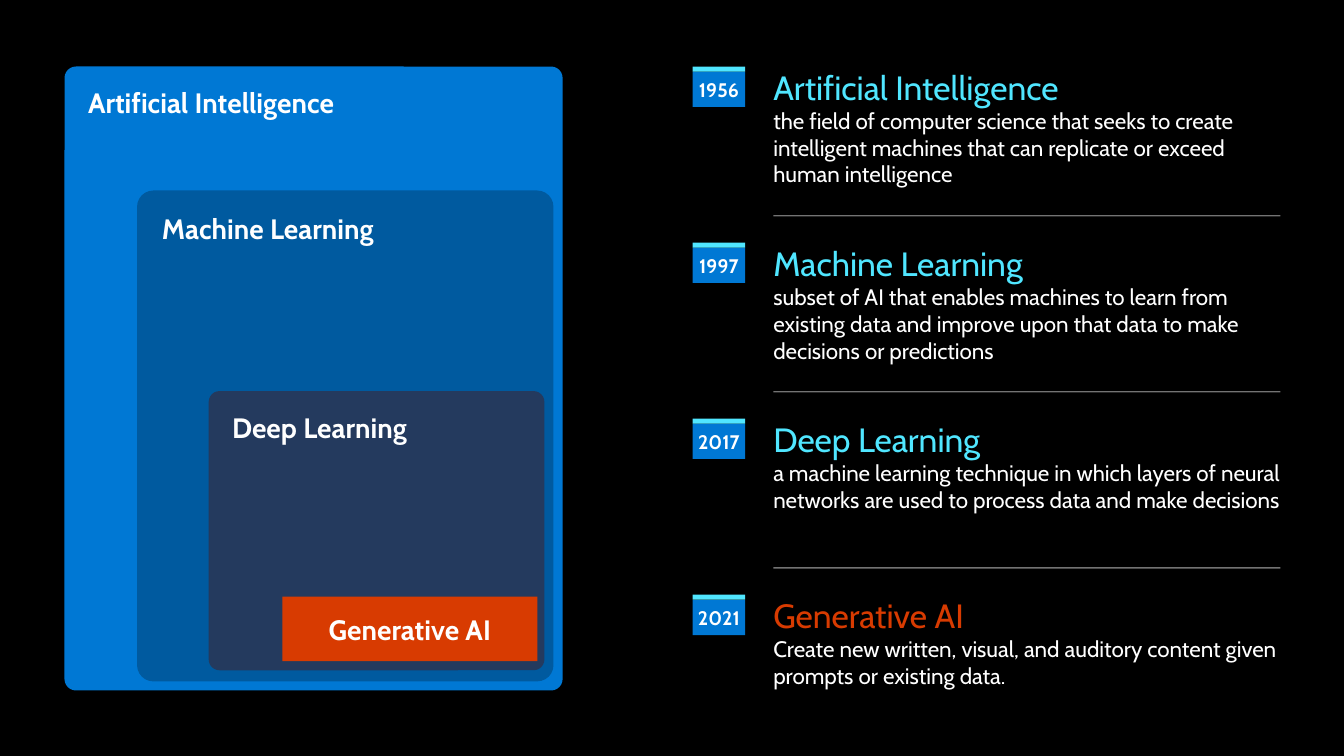
from lxml import etree
from pptx import Presentation
from pptx import util as u
from pptx.dml.color import RGBColor
from pptx.enum import shapes, text
from pptx.oxml import ns

BLACK = RGBColor(0x00, 0x00, 0x00)
WHITE = RGBColor(0xFF, 0xFF, 0xFF)
GRAY = RGBColor(0xE6, 0xE6, 0xE6)
BLUE = RGBColor(0x00, 0x78, 0xD4)
DEEP_BLUE = RGBColor(0x00, 0x5A, 0x9F)
NAVY = RGBColor(0x24, 0x3A, 0x5E)
CYAN = RGBColor(0x50, 0xE6, 0xFF)
ORANGE = RGBColor(0xD8, 0x3B, 0x01)

FONT = "Cabin"
TOP = 0.66
ROW_STEP = (5.90 - TOP) / 3
DIVIDER_OFFSET = 1.48
BADGE_LEFT, BADGE_WIDTH, BADGE_HEIGHT, STRIPE_HEIGHT = 6.87, 0.52, 0.4, 0.05
TEXT_LEFT, TEXT_WIDTH, TEXT_HEIGHT = 7.67, 5.03, 1.21

PANELS = [
    ("Artificial Intelligence", (0.64, TOP, 4.94, 6.19), 0.023, BLUE),
    ("Machine Learning", (1.36, 1.89, 4.13, 4.87), 0.039, DEEP_BLUE),
    ("Deep Learning", (2.07, 3.88, 3.33, 2.77), 0.039, NAVY),
]
TITLE = "Generative AI"
TITLE_BOX = (2.8, 5.92, 2.53, 0.64)
MILESTONES = [
    ("1956", "Artificial Intelligence", CYAN,
     "the field of computer science that seeks to create intelligent machines "
     "that can replicate or exceed human intelligence"),
    ("1997", "Machine Learning", CYAN,
     "subset of AI that enables machines to learn from existing data and "
     "improve upon that data to make decisions or predictions"),
    ("2017", "Deep Learning", CYAN,
     "a machine learning technique in which layers of neural networks are used "
     "to process data and make decisions"),
    ("2021", TITLE, ORANGE,
     "Create new written, visual, and auditory content given prompts or "
     "existing data."),
]


def inches(box):
    return [u.Inches(length) for length in box]


def set_frame(shape, anchor, horizontal=0, vertical=0):
    frame = shape.text_frame
    frame.word_wrap = True
    frame.auto_size = text.MSO_AUTO_SIZE.NONE
    frame.vertical_anchor = anchor
    frame.margin_left = frame.margin_right = u.Inches(horizontal)
    frame.margin_top = frame.margin_bottom = u.Inches(vertical)
    return frame


def write(paragraph, words, size, color=WHITE, bold=False, align=text.PP_ALIGN.LEFT):
    paragraph.text = words
    paragraph.alignment = align
    font = paragraph.font
    font.name, font.size, font.bold = FONT, u.Pt(size), bold
    font.color.rgb = color


def fill_shape(shape, color):
    shape.fill.solid()
    shape.fill.fore_color.rgb = color
    shape.line.fill.background()


def add_block(parent, kind, box, color):
    shape = parent.shapes.add_shape(kind, *inches(box))
    shape.shadow.inherit = False
    fill_shape(shape, color)
    return shape


def add_panel(slide, label, box, rounding, color):
    panel = add_block(slide, shapes.MSO_SHAPE.ROUNDED_RECTANGLE, box, color)
    panel.adjustments[0] = rounding
    frame = set_frame(panel, text.MSO_ANCHOR.TOP, 0.2, 0.16)
    write(frame.paragraphs[0], label, 20, bold=True)


def place_title(slide):
    title = slide.shapes.title
    title.left, title.top, title.width, title.height = inches(TITLE_BOX)
    fill_shape(title, ORANGE)
    frame = set_frame(title, text.MSO_ANCHOR.MIDDLE, 0.2, 0.16)
    write(frame.paragraphs[0], TITLE, 20, bold=True, align=text.PP_ALIGN.CENTER)
    slide.shapes.element.append(title.element)


def add_badge(slide, year, top):
    group = slide.shapes.add_group_shape()
    rectangle = shapes.MSO_SHAPE.RECTANGLE
    body = add_block(group, rectangle, (BADGE_LEFT, top + STRIPE_HEIGHT, BADGE_WIDTH,
                                        BADGE_HEIGHT - STRIPE_HEIGHT), BLUE)
    frame = set_frame(body, text.MSO_ANCHOR.MIDDLE)
    write(frame.paragraphs[0], year, 14, bold=True, align=text.PP_ALIGN.CENTER)
    add_block(group, rectangle, (BADGE_LEFT, top, BADGE_WIDTH, STRIPE_HEIGHT), CYAN)


def add_description(slide, heading, color, words, top):
    box = slide.shapes.add_textbox(*inches((TEXT_LEFT, top, TEXT_WIDTH, TEXT_HEIGHT)))
    frame = set_frame(box, text.MSO_ANCHOR.TOP)
    write(frame.paragraphs[0], heading, 24, color)
    write(frame.add_paragraph(), words, 16)


def add_divider(slide, top):
    ends = inches((TEXT_LEFT, top, TEXT_LEFT + TEXT_WIDTH, top))
    divider = slide.shapes.add_connector(shapes.MSO_CONNECTOR.STRAIGHT, *ends)
    divider.line.color.rgb = GRAY
    divider.line.width = u.Pt(1)
    properties = divider.element.spPr
    color = properties.find(".//" + ns.qn("a:srgbClr"))
    etree.SubElement(color, ns.qn("a:alpha"), val="50000")
    etree.SubElement(properties, ns.qn("a:effectLst"))


def main():
    presentation = Presentation()
    presentation.slide_width, presentation.slide_height = inches((13.33, 7.5))
    slide = presentation.slides.add_slide(presentation.slide_layouts.get_by_name("Title Only"))
    slide.background.fill.solid()
    slide.background.fill.fore_color.rgb = BLACK
    for panel in PANELS:
        add_panel(slide, *panel)
    place_title(slide)
    for row, (year, heading, color, words) in enumerate(MILESTONES):
        top = TOP + row * ROW_STEP
        add_badge(slide, year, top)
        add_description(slide, heading, color, words, top)
        if row < len(MILESTONES) - 1:
            add_divider(slide, top + DIVIDER_OFFSET)
    presentation.save("out.pptx")


if __name__ == "__main__":
    main()
